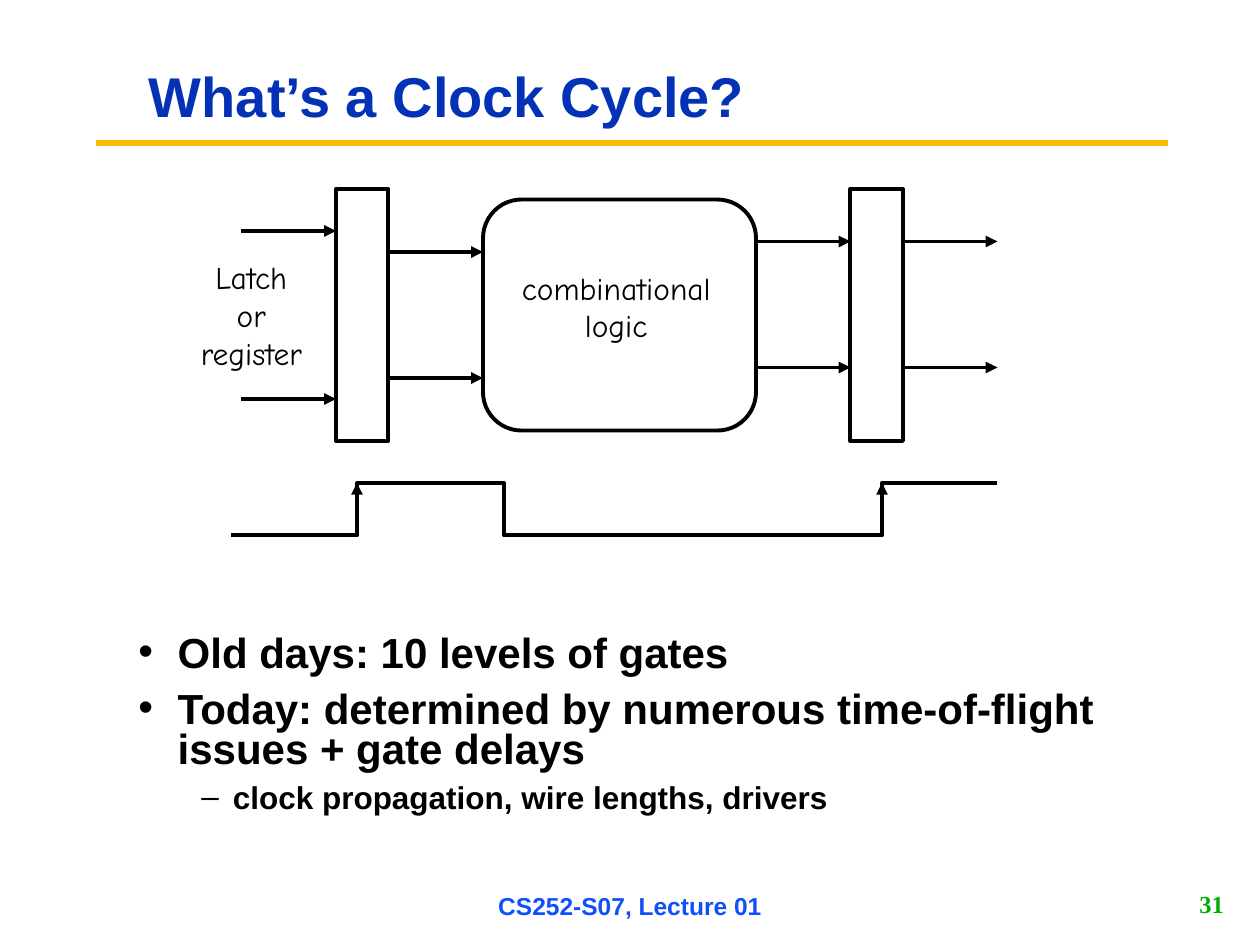
from lxml.etree import SubElement
from pptx import Presentation
from pptx.dml.color import RGBColor
from pptx.enum.shapes import MSO_CONNECTOR as Connector, MSO_SHAPE as Shape
from pptx.enum.text import MSO_ANCHOR as Anchor, PP_ALIGN as Align
from pptx.oxml.ns import qn
from pptx.util import Pt

PX = 9525
BLACK = RGBColor(0, 0, 0)
GOLD = RGBColor(0xFB, 0xBA, 0x03)
NAVY = RGBColor(0x03, 0x32, 0xB7)
BLUE = RGBColor(0x11, 0x4F, 0xFB)
GREEN = RGBColor(0x00, 0xAE, 0x00)
STROKE = 2.25

TITLE = {"name": "Arial", "size": Pt(32), "bold": True}
FOOTER = {"name": "Arial", "size": Pt(14), "bold": True}
NUMBER = {"name": "Times New Roman", "size": Pt(14), "bold": True}
LABEL = {"name": "Comic Neue", "size": Pt(18)}
POINT = {"name": "Arial", "size": Pt(24), "bold": True}
SUBPOINT = {**POINT, "size": Pt(18)}

LATCH_LEFTS = (256, 648)
LATCH_TOP, LATCH_WIDTH, LATCH_HEIGHT = 144, 40, 192
LOGIC = (368, 152, 208, 176)
WIRE_LENGTH = 72
WIRES = ((184, (176, 304)), (296, (192, 288)), (576, (184, 280)), (688, (184, 280)))
CLOCK_LOW, CLOCK_HIGH = 408, 368
CLOCK_START, CLOCK_FALL, CLOCK_END = 176, 384, 760
CLOCK_RISES = (272, 672)
BULLETS = (
    ("Old days: 10 levels of gates", "•", 30, 30, 0, POINT),
    ("Today: determined by numerous time-of-flight issues + gate delays",
     "•", 30, 30, 9, POINT),
    ("clock propagation, wire lengths, drivers", "–", 72, 24, 6.8, SUBPOINT),
)


def scaled(*lengths):
    return [length * PX for length in lengths]


def set_font(para, style, color):
    for key, value in style.items():
        setattr(para.font, key, value)
    para.font.color.rgb = color


def set_outline(shape):
    shape.shadow.inherit = False
    shape.fill.background()
    shape.line.color.rgb = BLACK
    shape.line.width = Pt(STROKE)


def add_text(page, bounds, lines, style, color, align, anchor=Anchor.TOP,
             wrap=False, spacing=None):
    frame = page.shapes.add_textbox(*scaled(*bounds)).text_frame
    frame.word_wrap = wrap
    frame.vertical_anchor = anchor
    for index, line in enumerate(lines):
        para = frame.add_paragraph() if index else frame.paragraphs[0]
        para.text = line
        para.alignment = align
        para.line_spacing = spacing
        set_font(para, style, color)


def add_bullets(page, bounds, bullets):
    frame = page.shapes.add_textbox(*scaled(*bounds)).text_frame
    frame.word_wrap = True
    for index, (text, mark, margin, hanging, before, style) in enumerate(bullets):
        para = frame.add_paragraph() if index else frame.paragraphs[0]
        para.text = text
        props = para._p.get_or_add_pPr()
        props.set("marL", str(margin * PX))
        props.set("indent", str(-hanging * PX))
        tint = SubElement(props, qn("a:buClr"))
        SubElement(tint, qn("a:srgbClr")).set("val", str(BLACK))
        SubElement(props, qn("a:buFont")).set("typeface", "Arial")
        SubElement(props, qn("a:buChar")).set("char", mark)
        para.line_spacing = 0.8
        para.space_before = Pt(before)
        set_font(para, style, BLACK)


def add_line(page, start, end, color=BLACK, width=STROKE, arrow=True):
    line = page.shapes.add_connector(Connector.STRAIGHT, *scaled(*start, *end))
    line.line.color.rgb = color
    line.line.width = Pt(width)
    if arrow:
        SubElement(line.line._get_or_add_ln(), qn("a:tailEnd")).set("type", "triangle")
    SubElement(line._element.spPr, qn("a:effectLst"))


def add_block(page, kind, bounds):
    block = page.shapes.add_shape(kind, *scaled(*bounds))
    set_outline(block)
    return block


def add_clock(page):
    points = [(CLOCK_START, CLOCK_LOW)]
    first, second = CLOCK_RISES
    points += [(first, CLOCK_LOW), (first, CLOCK_HIGH)]
    points += [(CLOCK_FALL, CLOCK_HIGH), (CLOCK_FALL, CLOCK_LOW)]
    points += [(second, CLOCK_LOW), (second, CLOCK_HIGH), (CLOCK_END, CLOCK_HIGH)]
    builder = page.shapes.build_freeform(*points[0], scale=PX)
    builder.add_line_segments(points[1:], close=False)
    set_outline(builder.convert_to_shape())
    for rise in CLOCK_RISES:
        add_line(page, (rise, CLOCK_LOW), (rise, CLOCK_HIGH))


def add_circuit(page):
    for left in LATCH_LEFTS:
        add_block(page, Shape.RECTANGLE, (left, LATCH_TOP, LATCH_WIDTH, LATCH_HEIGHT))
    add_block(page, Shape.ROUNDED_RECTANGLE, LOGIC).adjustments[0] = 0.167
    for left, heights in WIRES:
        for height in heights:
            add_line(page, (left, height), (left + WIRE_LENGTH, height))
    add_text(page, (143, 192, 97, 96), ("Latch", "or", "register"),
             LABEL, BLACK, Align.CENTER)
    add_text(page, (388, 200, 163, 67), ("combinational", "logic"),
             LABEL, BLACK, Align.CENTER)


def main():
    deck = Presentation()
    deck.slide_width, deck.slide_height = scaled(960, 720)
    page = deck.slides.add_slide(deck.slide_layouts[6])
    add_line(page, (73, 109), (890, 109), GOLD, 3.75, arrow=False)
    add_text(page, (328, 675, 304, 30), ("CS252-S07, Lecture 01",),
             FOOTER, BLUE, Align.CENTER, Anchor.MIDDLE)
    add_text(page, (742, 673, 200, 31), ("31",),
             NUMBER, GREEN, Align.RIGHT, Anchor.MIDDLE)
    add_text(page, (104, 40, 752, 72), ("What’s a Clock Cycle?",),
             TITLE, NAVY, Align.LEFT, Anchor.MIDDLE, wrap=True, spacing=0.9)
    add_bullets(page, (96, 480, 760, 160), BULLETS)
    add_circuit(page)
    add_clock(page)
    deck.save("out.pptx")


if __name__ == "__main__":
    main()
